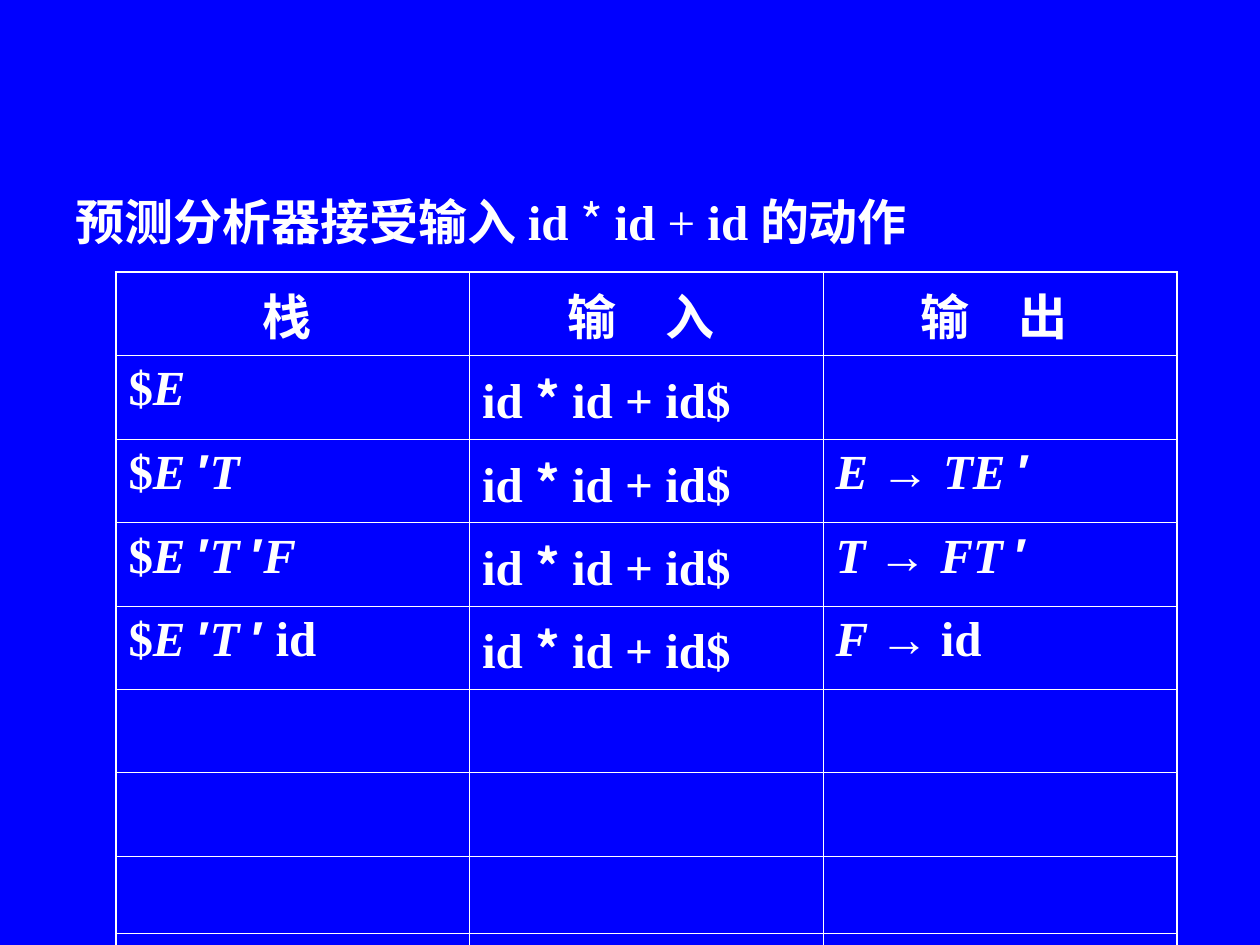
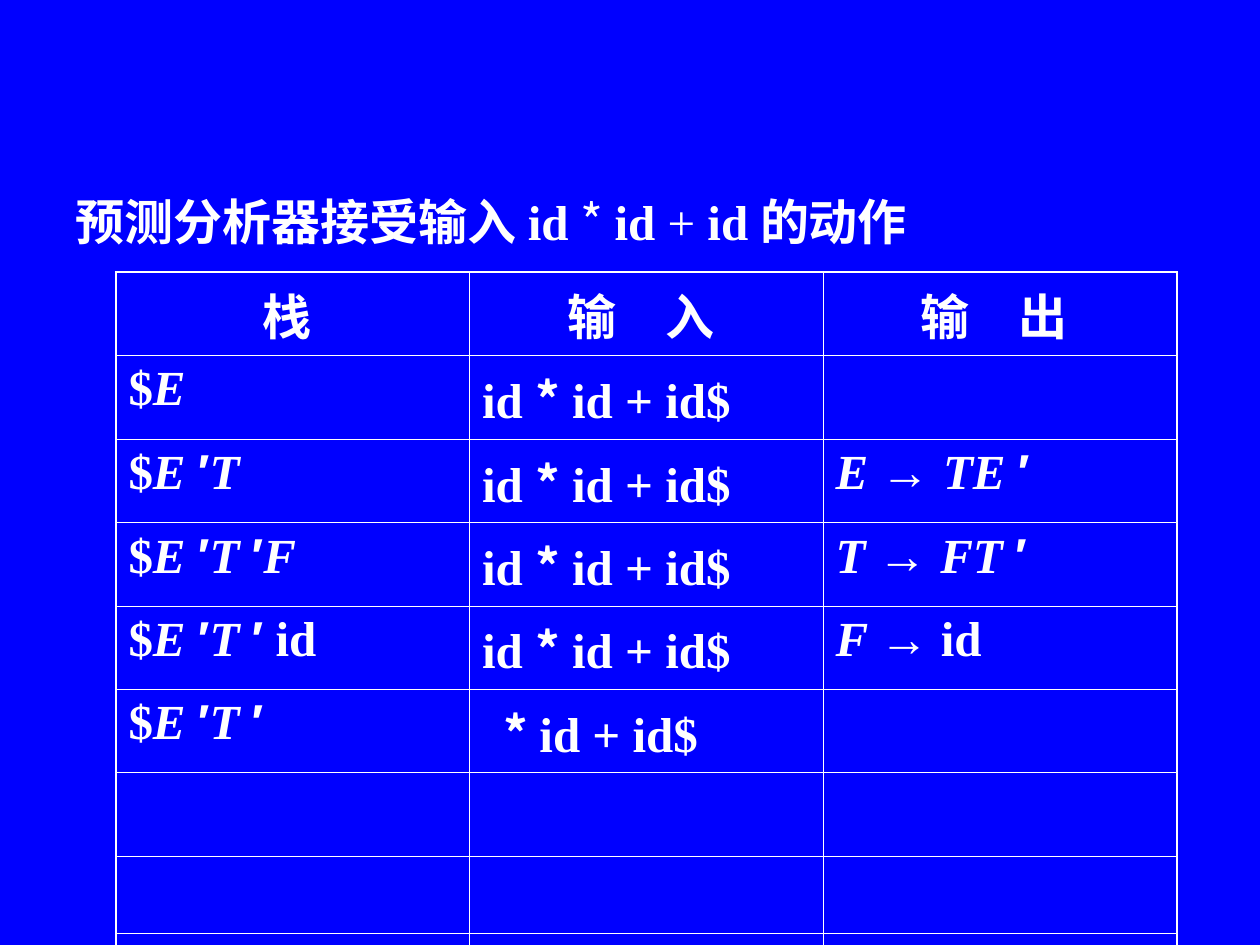
import dataclasses

import lxml.etree
import pptx
import pptx.dml.color
import pptx.enum.text
import pptx.oxml.ns
import pptx.slide
import pptx.table
import pptx.text.text
import pptx.util

BLUE = pptx.dml.color.RGBColor(0x00, 0x00, 0xFF)
WHITE = pptx.dml.color.RGBColor(0xFF, 0xFF, 0xFF)
SERIF, SANS, MONO, CJK = "Times New Roman", "Arial", "Courier New", "Noto Sans CJK SC"
TEXT_SIZE = pptx.util.Pt(28)
OUTER_LINE, INNER_LINE = pptx.util.Pt(1.08), pptx.util.Pt(0.45)
ROW_COUNT, COLUMN_COUNT = 9, 3
ROW_HEIGHT = pptx.util.Inches(0.57)
SHORT_ROW, SHORT_ROW_HEIGHT = 7, pptx.util.Inches(0.61)


@dataclasses.dataclass(frozen=True)
class Piece:
    text: str
    font: str = SERIF
    bold: bool = True
    italic: bool = False


@dataclasses.dataclass(frozen=True)
class Entry:
    pieces: tuple[Piece, ...] = ()
    centered: bool = False
    indent: float = 0


def symbol(text: str) -> Piece:
    return Piece(text, italic=True)


def heading(text: str) -> Entry:
    return Entry((Piece(text, CJK),), centered=True)


def entry(*pieces: Piece) -> Entry:
    return Entry(pieces)


DOLLAR = Piece("$")
PRIME = Piece("′", SANS)
ARROW = Piece("→ ", SANS)
EMPTY = Entry()
FULL_INPUT = entry(Piece("id "), Piece("*", CJK), Piece(" id + id$"))
REST_INPUT = Entry((Piece("* ", CJK), Piece("id + id$")), indent=0.17)

TITLE = (
    Piece("预测", MONO),
    Piece("分析器接受输入id "),
    Piece("* ", CJK, bold=False),
    Piece("id"),
    Piece(" + ", bold=False),
    Piece("id"),
    Piece("的动作", MONO),
)
FIRST_STEPS = [
    (heading("栈 "), heading("输　入 "), heading("输　出 ")),
    (entry(DOLLAR, symbol("E")), FULL_INPUT, EMPTY),
    (
        entry(DOLLAR, symbol("E "), PRIME, symbol("T")),
        FULL_INPUT,
        entry(symbol("E "), ARROW, symbol("TE "), PRIME),
    ),
    (
        entry(DOLLAR, symbol("E "), PRIME, symbol("T "), PRIME, symbol("F")),
        FULL_INPUT,
        entry(symbol("T "), ARROW, symbol("FT "), PRIME),
    ),
    (
        entry(DOLLAR, symbol("E "), PRIME, symbol("T "), PRIME, Piece(" id")),
        FULL_INPUT,
        entry(symbol("F "), Piece("→", SANS), Piece(" id")),
    ),
]
MATCHED_STEP = (
    entry(DOLLAR, symbol("E "), PRIME, symbol("T "), PRIME),
    REST_INPUT,
    EMPTY,
)


def write_pieces(paragraph: pptx.text.text._Paragraph, pieces: tuple[Piece, ...]) -> None:
    for piece in pieces:
        run = paragraph.add_run()
        run.text = piece.text
        run.font.size = TEXT_SIZE
        run.font.name = piece.font
        run.font.bold = piece.bold
        run.font.italic = piece.italic
        run.font.color.rgb = WHITE
        has_chinese = any("\u4e00" <= letter <= "\u9fff" for letter in piece.text)
        east_asian = lxml.etree.SubElement(run.font._element, pptx.oxml.ns.qn("a:ea"))
        east_asian.set("typeface", CJK if has_chinese else piece.font)


def set_borders(cell: pptx.table._Cell, row: int, column: int) -> None:
    properties = cell._tc.get_or_add_tcPr()
    on_edge = {
        "a:lnL": column == 0,
        "a:lnR": column == COLUMN_COUNT - 1,
        "a:lnT": row == 0,
        "a:lnB": row == ROW_COUNT - 1,
    }
    for position, (tag, outer) in enumerate(on_edge.items()):
        line = lxml.etree.Element(pptx.oxml.ns.qn(tag))
        line.set("w", str(OUTER_LINE if outer else INNER_LINE))
        fill = lxml.etree.SubElement(line, pptx.oxml.ns.qn("a:solidFill"))
        color = lxml.etree.SubElement(fill, pptx.oxml.ns.qn("a:srgbClr"))
        color.set("val", str(WHITE))
        properties.insert(position, line)


def fill_cell(cell: pptx.table._Cell, content: Entry, row: int) -> None:
    cell.fill.background()
    paragraph = cell.text_frame.paragraphs[0]
    if content.centered:
        paragraph.alignment = pptx.enum.text.PP_ALIGN.CENTER
    if content.indent:
        margin = pptx.util.Inches(content.indent)
        paragraph._p.get_or_add_pPr().set("marL", str(margin))
    write_pieces(paragraph, content.pieces)
    if not content.pieces and row < SHORT_ROW:
        end = lxml.etree.SubElement(paragraph._p, pptx.oxml.ns.qn("a:endParaRPr"))
        end_font = pptx.text.text.Font(end)
        end_font.size = TEXT_SIZE
        end_font.name = CJK


def add_title(slide: pptx.slide.Slide) -> None:
    title = slide.shapes.title
    title.left, title.top = pptx.util.Inches(0.5), pptx.util.Inches(1.42)
    title.width, title.height = pptx.util.Inches(8.92), pptx.util.Inches(0.67)
    title.fill.solid()
    title.fill.fore_color.rgb = BLUE
    frame = title.text_frame
    frame.auto_size = pptx.enum.text.MSO_AUTO_SIZE.NONE
    frame.vertical_anchor = pptx.enum.text.MSO_ANCHOR.MIDDLE
    frame.word_wrap = True
    paragraph = frame.paragraphs[0]
    paragraph.alignment = pptx.enum.text.PP_ALIGN.LEFT
    write_pieces(paragraph, TITLE)


def add_steps_table(
    slide: pptx.slide.Slide, steps: list[tuple[Entry, Entry, Entry]]
) -> None:
    table = slide.shapes.add_table(
        ROW_COUNT,
        COLUMN_COUNT,
        pptx.util.Inches(0.92),
        pptx.util.Inches(2.16),
        pptx.util.Inches(8.42),
        ROW_HEIGHT * ROW_COUNT,
    ).table
    table.first_row = False
    table.horz_banding = False
    table.rows[SHORT_ROW].height = SHORT_ROW_HEIGHT
    blank_rows = [(EMPTY,) * COLUMN_COUNT] * (ROW_COUNT - len(steps))
    for row, entries in enumerate(steps + blank_rows):
        for column, content in enumerate(entries):
            cell = table.cell(row, column)
            fill_cell(cell, content, row)
            set_borders(cell, row, column)


def main() -> None:
    presentation = pptx.Presentation()
    presentation.slide_width = pptx.util.Inches(10)
    presentation.slide_height = pptx.util.Inches(7.5)
    background = presentation.slide_master.background.fill
    background.solid()
    background.fore_color.rgb = BLUE
    title_only = presentation.slide_layouts.get_by_name("Title Only")
    for steps in (FIRST_STEPS, FIRST_STEPS + [MATCHED_STEP]):
        slide = presentation.slides.add_slide(title_only)
        add_title(slide)
        add_steps_table(slide, steps)
    presentation.save("out.pptx")


if __name__ == "__main__":
    main()
